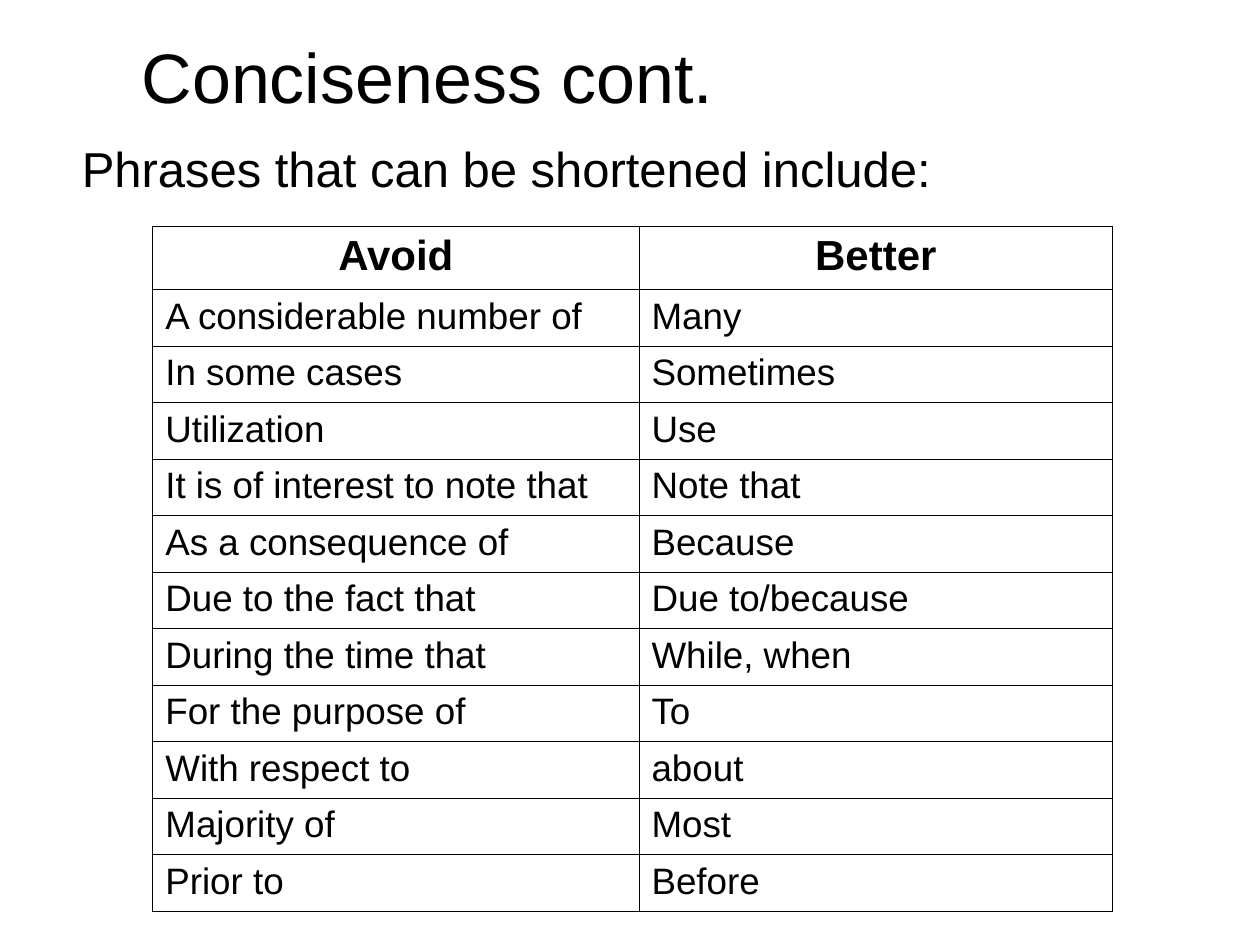
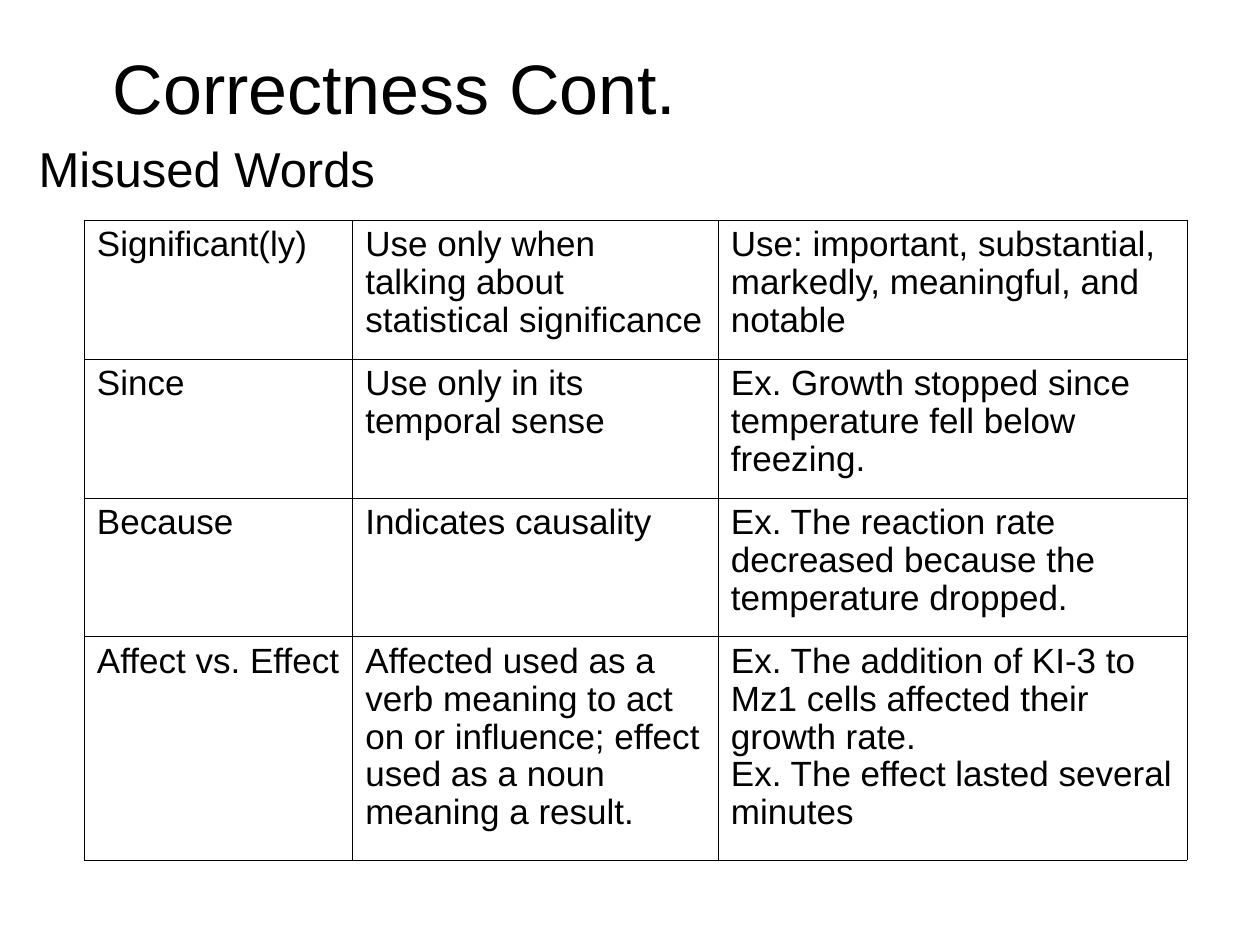
from dataclasses import dataclass

from lxml.etree import SubElement
from pptx import Presentation
from pptx.dml.color import RGBColor
from pptx.enum.text import MSO_ANCHOR, MSO_AUTO_SIZE, PP_ALIGN
from pptx.oxml.ns import qn
from pptx.util import Cm, Pt


@dataclass(frozen=True)
class Theme:
    font: str = "Arial"
    ink: str = "000000"
    title: int = 40
    subtitle: int = 28
    header: int = 24
    phrase: int = 21
    usage: int = 20
    rule: float = 0.45


PHRASES = [
    ("Avoid", "Better"),
    ("A considerable number of", "Many"),
    ("In some cases", "Sometimes"),
    ("Utilization", "Use"),
    ("It is of interest to note that", "Note that"),
    ("As a consequence of", "Because"),
    ("Due to the fact that", "Due to/because"),
    ("During the time that", "While, when"),
    ("For the purpose of", "To"),
    ("With respect to", "about"),
    ("Majority of", "Most"),
    ("Prior to", "Before"),
]

MISUSED_WORDS = [
    ("Significant(ly)",
     "Use only when talking about statistical significance",
     "Use: important, substantial, markedly, meaningful, and notable"),
    ("Since",
     "Use only in its temporal sense",
     "Ex. Growth stopped since temperature fell below freezing."),
    ("Because",
     "Indicates causality",
     "Ex. The reaction rate decreased because the temperature dropped."),
    ("Affect vs. Effect",
     "Affected used as a verb meaning to act on or influence; "
     "effect used as a noun meaning a result.",
     "Ex. The addition of KI-3 to Mz1 cells affected their growth rate.\n"
     "Ex. The effect lasted several minutes"),
]


def write(frame, text, *, theme, size, bold=False, align=PP_ALIGN.LEFT, spacing=1.0):
    frame.text = text
    for paragraph in frame.paragraphs:
        paragraph.alignment = align
        paragraph.line_spacing = spacing
        for run in paragraph.runs:
            run.font.name = theme.font
            run.font.size = Pt(size)
            run.font.bold = bold
            run.font.color.rgb = RGBColor.from_string(theme.ink)


class Deck:
    def __init__(self, theme):
        self.theme = theme
        self.presentation = Presentation()
        self.presentation.slide_width = Cm(25.4)
        self.presentation.slide_height = Cm(19.05)
        self.slide = None

    def new_slide(self):
        self.slide = self.presentation.slides.add_slide(self.presentation.slide_layouts[6])

    def text(self, text, box, *, indent=0, **style):
        frame = self.slide.shapes.add_textbox(*map(Cm, box)).text_frame
        frame.word_wrap = True
        frame.auto_size = MSO_AUTO_SIZE.NONE
        frame.vertical_anchor = MSO_ANCHOR.TOP
        frame.margin_left = Cm(0.25 + indent)
        frame.margin_top = Cm(0.25)
        write(frame, text, theme=self.theme, **style)

    def title(self, text, box, indent=0):
        self.text(text, box, indent=indent, size=self.theme.title, align=PP_ALIGN.CENTER)

    def subtitle(self, text, box):
        self.text(text, box, size=self.theme.subtitle)

    def rule_cell(self, cell):
        properties = cell._tc.get_or_add_tcPr()
        for side in ("a:lnL", "a:lnR", "a:lnT", "a:lnB"):
            line = SubElement(properties, qn(side), w=str(Pt(self.theme.rule)))
            fill = SubElement(line, qn("a:solidFill"))
            SubElement(fill, qn("a:srgbClr"), val=self.theme.ink)

    def table(self, rows, corner, widths, heights, *, size, has_header=False, spacing=1.0):
        table = self.slide.shapes.add_table(
            len(rows), len(widths), *map(Cm, (*corner, sum(widths), sum(heights)))
        ).table
        table.first_row = table.horz_banding = False
        for column, width in zip(table.columns, widths):
            column.width = Cm(width)
        header = dict(size=self.theme.header, bold=True, align=PP_ALIGN.CENTER)
        body = dict(size=size, spacing=spacing)
        for index, (row, texts, height) in enumerate(zip(table.rows, rows, heights)):
            row.height = Cm(height)
            style = header if has_header and index == 0 else body
            for cell, text in zip(row.cells, texts):
                self.rule_cell(cell)
                cell.fill.background()
                write(cell.text_frame, text, theme=self.theme, **style)


def add_conciseness(deck):
    deck.new_slide()
    deck.subtitle("Phrases that can be shortened include:", (1.4, 2.54, 21.16, 1.45))
    deck.table(PHRASES, (3.08, 4.56), (9.8, 9.55), [1.28] + [1.14] * 11,
               size=deck.theme.phrase, has_header=True)
    deck.title("Conciseness cont.", (0.08, 0.43, 15.8, 1.96), indent=1.27)


def add_correctness(deck):
    deck.new_slide()
    deck.title("Correctness Cont.", (1.07, 0.64, 13.77, 1.96))
    deck.subtitle("Misused Words", (0.53, 2.54, 22.07, 6.27))
    deck.table(MISUSED_WORDS, (1.7, 4.44), (5.41, 7.37, 9.45), [2.8] * 3 + [4.5],
               size=deck.theme.usage, spacing=0.97)


def main():
    deck = Deck(Theme())
    add_conciseness(deck)
    add_correctness(deck)
    deck.presentation.save("out.pptx")


if __name__ == "__main__":
    main()
